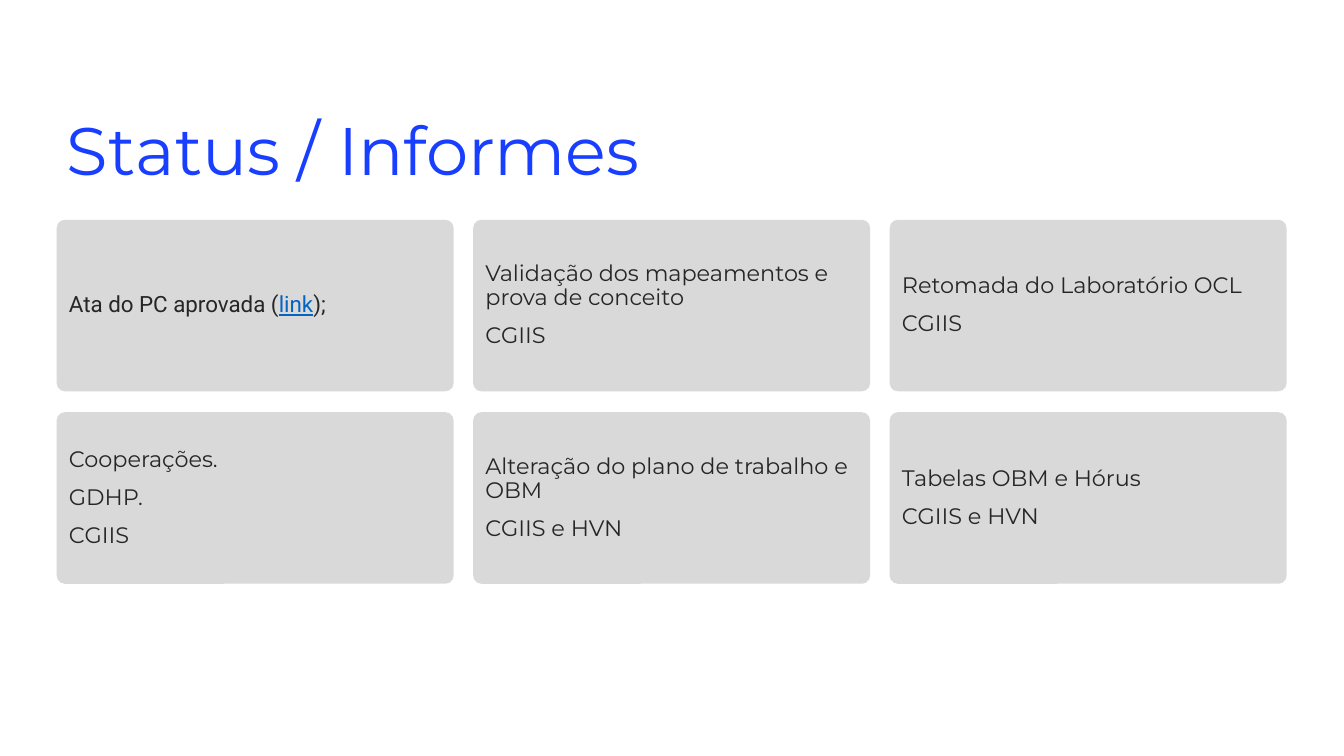
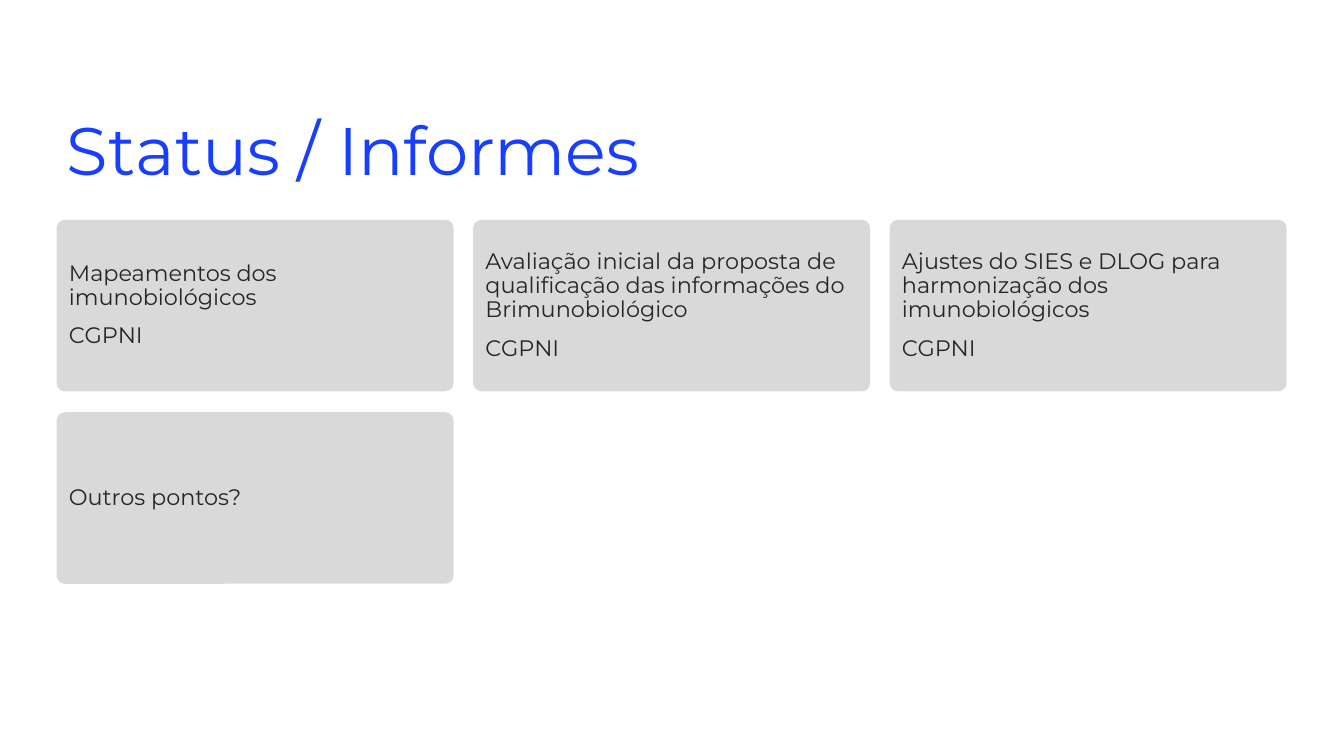
"""Builds the two status slides, each a title over a grid of cards."""
from pptx import Presentation
from pptx.dml.color import RGBColor
from pptx.enum.shapes import MSO_SHAPE
from pptx.enum.text import MSO_ANCHOR, MSO_AUTO_SIZE, PP_ALIGN
from pptx.util import Pt

ROUND = MSO_SHAPE.ROUNDED_RECTANGLE
TOP, MIDDLE = MSO_ANCHOR.TOP, MSO_ANCHOR.MIDDLE
FIXED = MSO_AUTO_SIZE.NONE
LEFT = PP_ALIGN.LEFT

BLUE = RGBColor(0x18, 0x3E, 0xFF)
GREY = RGBColor(0xD9, 0xD9, 0xD9)
DARK = RGBColor(0x26, 0x26, 0x26)
LINK = RGBColor(0x05, 0x63, 0xC1)
SANS, ALT = "Montserrat", "Roboto"

TITLE = "Status / Informes"
COLS = 3
EDGE, HEAD = 40.5, 157
WIDE, HIGH = 283.5, 122.5
GAP_X, GAP_Y = 14, 15

NEWS = [
    [["Ata do PC aprovada (", "link", ");"]],
    ["Validação dos mapeamentos e prova de conceito", "CGIIS"],
    ["Retomada do Laboratório OCL", "CGIIS"],
    ["Cooperações.", "GDHP.", "CGIIS"],
    ["Alteração do plano de trabalho e OBM", "CGIIS e HVN"],
    ["Tabelas OBM e Hórus", "CGIIS e HVN"],
]
MORE = [
    ["Mapeamentos dos imunobiológicos", "CGPNI"],
    ["Avaliação inicial da proposta de qualificação das informações do "
     "Brimunobiológico", "CGPNI"],
    ["Ajustes do SIES e DLOG para harmonização dos imunobiológicos", "CGPNI"],
    ["Outros pontos?"],
]


def style(para, size, color, face=SANS):
    """Set the spacing and font of a paragraph."""
    para.alignment = LEFT
    para.line_spacing = 0.9
    para.font.size = Pt(size)
    para.font.name = face
    para.font.color.rgb = color


def add_title(slide):
    """Fill and place the title."""
    title = slide.shapes.title
    title.left, title.top = Pt(EDGE), Pt(80)
    title.width, title.height = Pt(628.5), Pt(47)
    frame = title.text_frame
    frame.text = TITLE
    frame.auto_size = FIXED
    frame.vertical_anchor = TOP
    style(frame.paragraphs[0], 48, BLUE)


def add_linked(para, parts):
    """Write a line whose middle part looks like a link."""
    style(para, 16, DARK, ALT)
    for part in parts:
        para.add_run().text = part
    font = para.runs[1].font
    font.color.rgb = LINK
    font.underline = True


def add_card(slide, spot, lines):
    """Draw the card at a spot of the grid."""
    row, col = divmod(spot, COLS)
    card = slide.shapes.add_shape(
        ROUND, Pt(EDGE + col * (WIDE + GAP_X)),
        Pt(HEAD + row * (HIGH + GAP_Y)), Pt(WIDE), Pt(HIGH))
    card.adjustments[0] = 0.047
    card.shadow.inherit = False
    card.fill.solid()
    card.fill.fore_color.rgb = GREY
    card.line.fill.background()
    frame = card.text_frame
    frame.word_wrap = True
    frame.vertical_anchor = MIDDLE
    for rank, line in enumerate(lines):
        para = frame.add_paragraph() if rank else frame.paragraphs[0]
        if rank:
            para.space_before = Pt(10)
        if isinstance(line, list):
            add_linked(para, line)
        else:
            para.text = line
            style(para, 16, DARK)


def add_slide(deck, cards):
    """Add a slide with the title and its cards."""
    slide = deck.slides.add_slide(deck.slide_layouts[5])
    add_title(slide)
    for spot, lines in enumerate(cards):
        add_card(slide, spot, lines)


def main():
    """Build and save the deck."""
    deck = Presentation()
    deck.slide_width, deck.slide_height = Pt(960), Pt(540)
    for cards in (NEWS, MORE):
        add_slide(deck, cards)
    deck.save("out.pptx")


if __name__ == "__main__":
    main()
